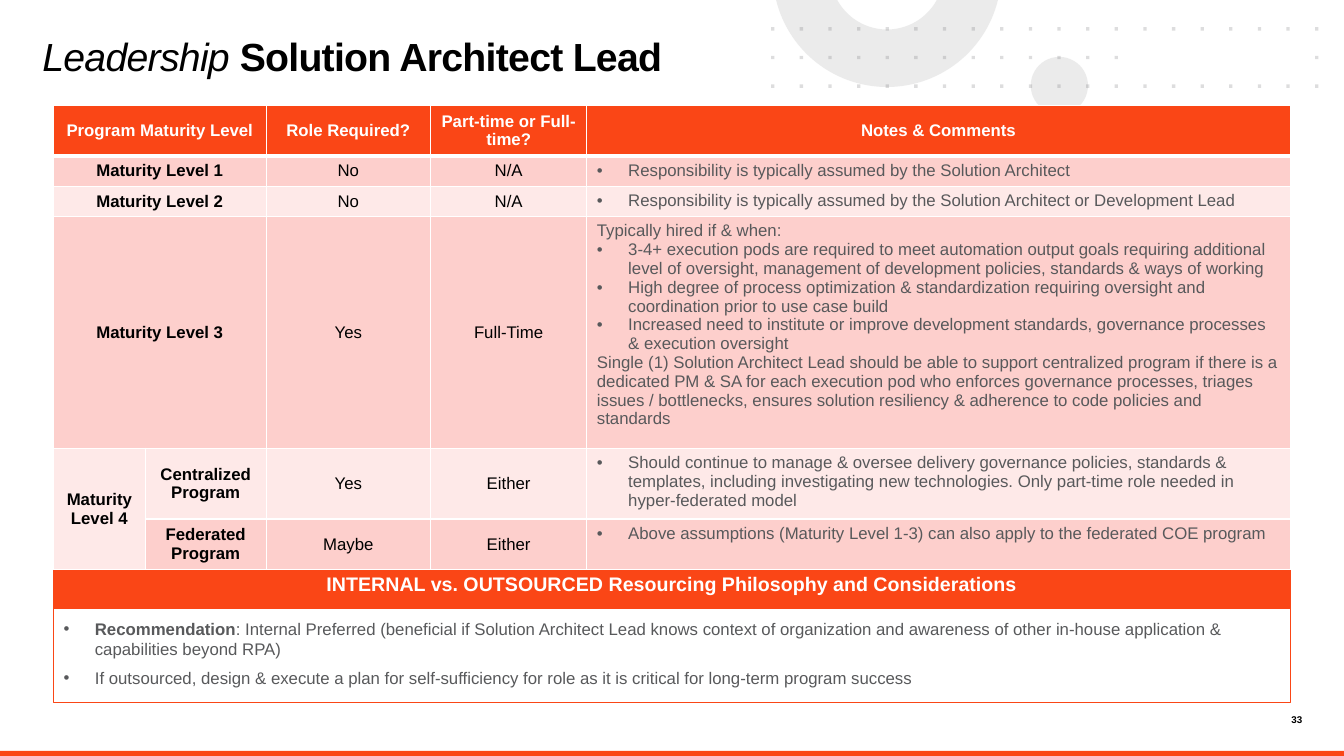
import math
from dataclasses import dataclass

import pptx
import pptx.dml.color
import pptx.enum.shapes
import pptx.enum.text
import pptx.oxml.ns
import pptx.util
from lxml import etree

ALIGN = pptx.enum.text.PP_ALIGN
ANCHOR = pptx.enum.text.MSO_ANCHOR
SHAPE = pptx.enum.shapes.MSO_SHAPE
WIDE = pptx.util.Inches(13.333)
HIGH = pptx.util.Inches(7.5)
qn = pptx.oxml.ns.qn


@dataclass(frozen=True)
class Theme:
    font: str = "Arial"
    brand: str = "FA4616"
    white: str = "FFFFFF"
    black: str = "000000"
    gray: str = "58595B"
    pale: str = "D9D9D9"
    dark_band: str = "FDCFCC"
    light_band: str = "FEE9E8"
    title: float = 28
    head: float = 14
    body: float = 12
    tiny: float = 7


@dataclass(frozen=True)
class Run:
    text: str
    bold: bool = False
    slant: bool = False


@dataclass(frozen=True)
class Para:
    runs: tuple[Run, ...]
    dot: bool = False


@dataclass(frozen=True)
class Row:
    high: float
    fill: str
    level: str
    branch: str
    need: str
    time: str
    notes: tuple[Para, ...]


@dataclass(frozen=True)
class Area:
    """Left, top, width and height in percent of the slide."""
    left: float
    top: float
    wide: float
    high: float

    def box(self) -> tuple[int, int, int, int]:
        return across(self.left), down(self.top), across(self.wide), down(self.high)


def across(share: float) -> int:
    return round(WIDE * share / 100)


def down(share: float) -> int:
    return round(HIGH * share / 100)


def plain(text: str, bold: bool = False) -> Para:
    return Para((Run(text, bold),))


def point(text: str) -> Para:
    return Para((Run(text),), dot=True)


def hue(code: str) -> pptx.dml.color.RGBColor:
    return pptx.dml.color.RGBColor.from_string(code)


T = Theme()
LEFT, SPAN = 3.98, 92.03
COLS = (6.83, 9.0, 12.23, 11.63, 52.34)
HEADS = Row(6.2, T.brand, "Program Maturity Level", "", "Role Required?",
            "Part-time or Full-time?", (plain("Notes & Comments", True),))
ROWS = (
    HEADS,
    Row(3.82, T.dark_band, "Maturity Level 1", "", "No", "N/A",
        (point("Responsibility is typically assumed by the Solution Architect"),)),
    Row(3.82, T.light_band, "Maturity Level 2", "", "No", "N/A",
        (point("Responsibility is typically assumed by the Solution Architect or Development Lead"),)),
    Row(28.67, T.dark_band, "Maturity Level 3", "", "Yes", "Full-Time", (
        plain("Typically hired if & when:"),
        point("3-4+ execution pods are required to meet automation output goals requiring additional level of oversight, management of development policies, standards & ways of working"),
        point("High degree of process optimization & standardization requiring oversight and coordination prior to use case build"),
        point("Increased need to institute or improve development standards, governance processes & execution oversight"),
        plain("Single (1) Solution Architect Lead should be able to support centralized program if there is a dedicated PM & SA for each execution pod who enforces governance processes, triages issues / bottlenecks, ensures solution resiliency & adherence to code policies and standards"))),
    Row(8.87, T.light_band, "Maturity Level 4", "Centralized Program", "Yes", "Either",
        (point("Should continue to manage & oversee delivery governance policies, standards & templates, including investigating new technologies. Only part-time role needed in hyper-federated model"),)),
    Row(6.2, T.dark_band, "", "Federated Program", "Maybe", "Either",
        (point("Above assumptions (Maturity Level 1-3) can also apply to the federated COE program"),)),
)
ADVICE = (
    Para((Run("Recommendation", True), Run(": Internal Preferred (beneficial if Solution Architect Lead knows context of organization and awareness of other in-house application & capabilities beyond RPA)")), dot=True),
    point("If outsourced, design & execute a plan for self-sufficiency for role as it is critical for long-term program success"),
)


def write(frame, paras: tuple[Para, ...], *, size: float = T.body, ink: str = T.gray,
          align=ALIGN.LEFT, after: float = 0, lead: float = 1, track: int = 0) -> None:
    frame.word_wrap = True
    for i, para in enumerate(paras):
        line = frame.add_paragraph() if i else frame.paragraphs[0]
        if para.dot:
            props = line._p.get_or_add_pPr()
            props.set("marL", str(across(2.33)))
            props.set("indent", str(-across(2.33)))
            etree.SubElement(props, qn("a:buFont")).set("typeface", T.font)
            etree.SubElement(props, qn("a:buChar")).set("char", "•")
        line.alignment = align
        line.space_after = pptx.util.Pt(after)
        line.line_spacing = lead
        for piece in para.runs:
            run = line.add_run()
            run.text = piece.text
            font = run.font
            font.name, font.size = T.font, pptx.util.Pt(size)
            font.bold, font.italic = piece.bold, piece.slant
            font.color.rgb = hue(ink)
            if track:
                run._r.get_or_add_rPr().set("spc", str(track))


def paint(shape, fill: str, edge: str = "", solid: int = 100) -> None:
    shape.shadow.inherit = False
    shape.fill.solid()
    shape.fill.fore_color.rgb = hue(fill)
    if solid < 100:
        tint = shape.element.spPr.find(qn("a:solidFill"))[0]
        etree.SubElement(tint, qn("a:alpha")).set("val", str(solid * 1000))
    if edge:
        shape.line.color.rgb = hue(edge)
        shape.line.width = pptx.util.Pt(0.75)
    else:
        shape.line.fill.background()


def block(slide, area: Area, fill: str, edge: str = "", kind=SHAPE.RECTANGLE, solid: int = 100):
    shape = slide.shapes.add_shape(kind, *area.box())
    paint(shape, fill, edge, solid)
    return shape


def label(slide, area: Area, para: Para, **form) -> None:
    frame = slide.shapes.add_textbox(*area.box()).text_frame
    frame.margin_left = frame.margin_right = frame.margin_top = frame.margin_bottom = 0
    write(frame, (para,), **form)


def panel(slide, area: Area, fill: str, paras: tuple[Para, ...], anchor, **form) -> None:
    frame = block(slide, area, fill, T.brand).text_frame
    frame.margin_left = frame.margin_right = across(0.75)
    frame.margin_top = frame.margin_bottom = across(0.75)
    frame.vertical_anchor = anchor
    write(frame, paras, after=6, **form)


def arc(wide: float) -> list[tuple[int, int]]:
    """Lower part of a circle, cut off at the top edge of the slide."""
    mid, rise, size = across(66), down(-3.6), across(wide)
    start = math.asin(-rise / size)
    turns = [start + (math.pi - 2 * start) * i / 60 for i in range(61)]
    return [(round(mid + size * math.cos(a)), round(rise + size * math.sin(a))) for a in turns]


def backdrop(slide) -> None:
    block(slide, Area(0, 99.33, 100, 0.67), T.brand)
    block(slide, Area(76.69, 7.53, 4.26, 7.57), T.pale, kind=SHAPE.OVAL, solid=50)
    ring = arc(8.5) + arc(4.22)[::-1]
    form = slide.shapes.build_freeform(*ring[0])
    form.add_line_segments(ring[1:])
    paint(form.convert_to_shape(), T.pale, solid=50)
    # Dot grid; the middle row has a gap
    step, side = across(2.13), across(0.25)
    spots = [(across(57.38) + c * step, down(3.6) + r * step)
             for r in range(3) for c in range(20) if r != 1 or c <= 12 or c == 19]
    form = slide.shapes.build_freeform(*spots[0])
    for x, y in spots:
        form.move_to(x, y)
        form.add_line_segments([(x + side, y), (x + side, y + side), (x, y + side)])
    paint(form.convert_to_shape(), T.gray, solid=20)


def border(cell, base: float) -> None:
    props = cell._tc.get_or_add_tcPr()
    for side, size in (("L", 1), ("R", 1), ("T", 1), ("B", base)):
        line = etree.SubElement(props, qn(f"a:ln{side}"), w=str(pptx.util.Pt(size)))
        fill = etree.SubElement(line, qn("a:solidFill"))
        etree.SubElement(fill, qn("a:srgbClr"), val=T.white)


def matrix(slide) -> None:
    area = Area(LEFT, 13.95, SPAN, sum(row.high for row in ROWS))
    table = slide.shapes.add_table(len(ROWS), len(COLS), *area.box()).table
    for col, wide in zip(table.columns, COLS):
        col.width = across(wide)
    for r, row in enumerate(ROWS):
        table.rows[r].height = down(row.high)
        top = row is HEADS
        texts = (row.level, row.branch, row.need, row.time)
        for c, paras in enumerate([(plain(t, top or i < 2),) for i, t in enumerate(texts)] + [row.notes]):
            cell = table.cell(r, c)
            border(cell, 3 if top else 1)
            cell.fill.solid()
            cell.fill.fore_color.rgb = hue(row.fill)
            note = c == 4 and not top
            cell.vertical_anchor = ANCHOR.TOP if note else ANCHOR.MIDDLE
            if paras[0].runs[0].text:
                write(cell.text_frame, paras, align=ALIGN.LEFT if note else ALIGN.CENTER,
                      ink=T.white if top else T.gray if note else T.black)
        if row.level and not row.branch:
            table.cell(r, 0).merge(table.cell(r, 1))
    table.cell(4, 0).merge(table.cell(5, 0))


def main() -> None:
    deck = pptx.Presentation()
    deck.slide_width, deck.slide_height = WIDE, HIGH
    slide = deck.slides.add_slide(deck.slide_layouts[6])
    backdrop(slide)
    # Title and page number
    title = Para((Run("Leadership ", slant=True), Run("Solution Architect Lead", True)))
    label(slide, Area(3.15, 5.2, 54.2, 10), title, size=T.title, ink=T.black, lead=0.85, track=-50)
    label(slide, Area(93.97, 94.4, 2.93, 1.73), plain("33", True),
          size=T.tiny, ink=T.black, align=ALIGN.RIGHT)
    # Sourcing panel
    panel(slide, Area(LEFT, 80.53, SPAN, 12.4), T.white, ADVICE, ANCHOR.TOP)
    panel(slide, Area(LEFT, 74, SPAN, 6.53), T.brand,
          (plain("INTERNAL vs. OUTSOURCED Resourcing Philosophy and Considerations", True),),
          ANCHOR.MIDDLE, size=T.head, ink=T.white, align=ALIGN.CENTER)
    # Role by maturity level
    matrix(slide)
    deck.save("out.pptx")


if __name__ == "__main__":
    main()
